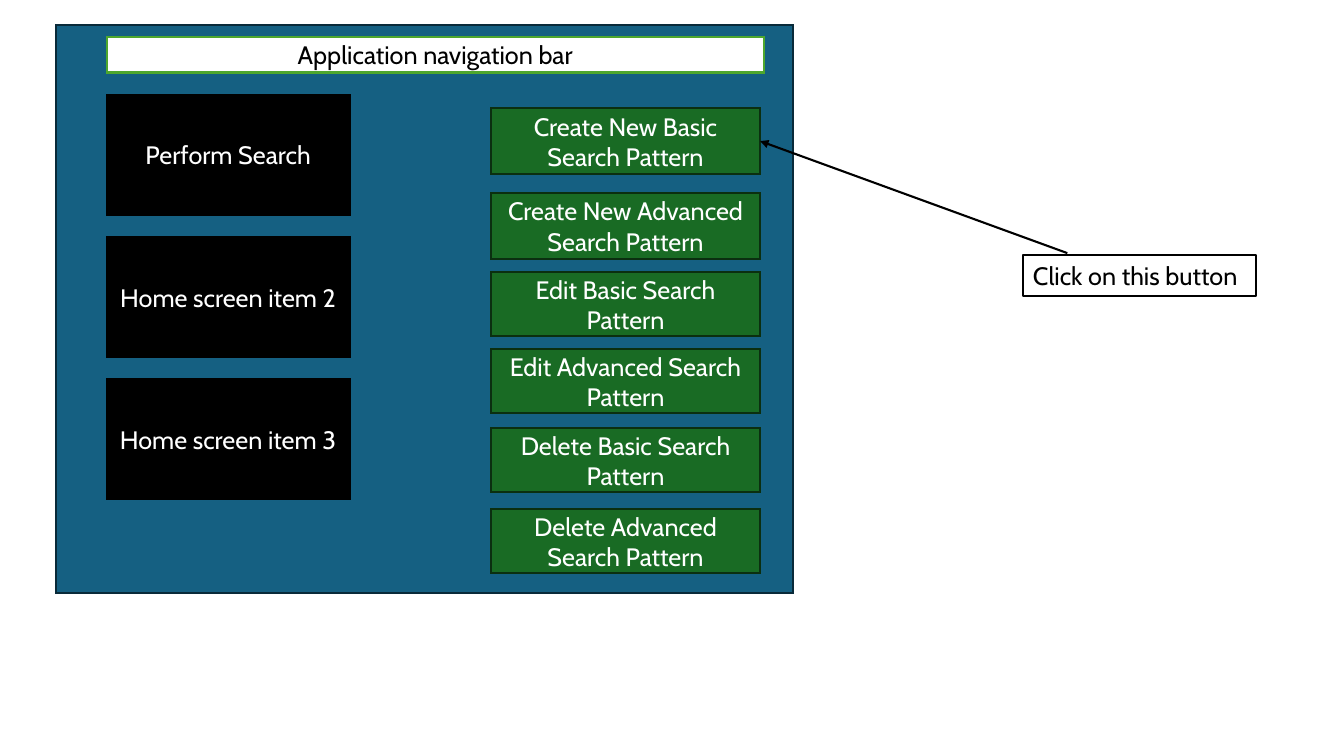
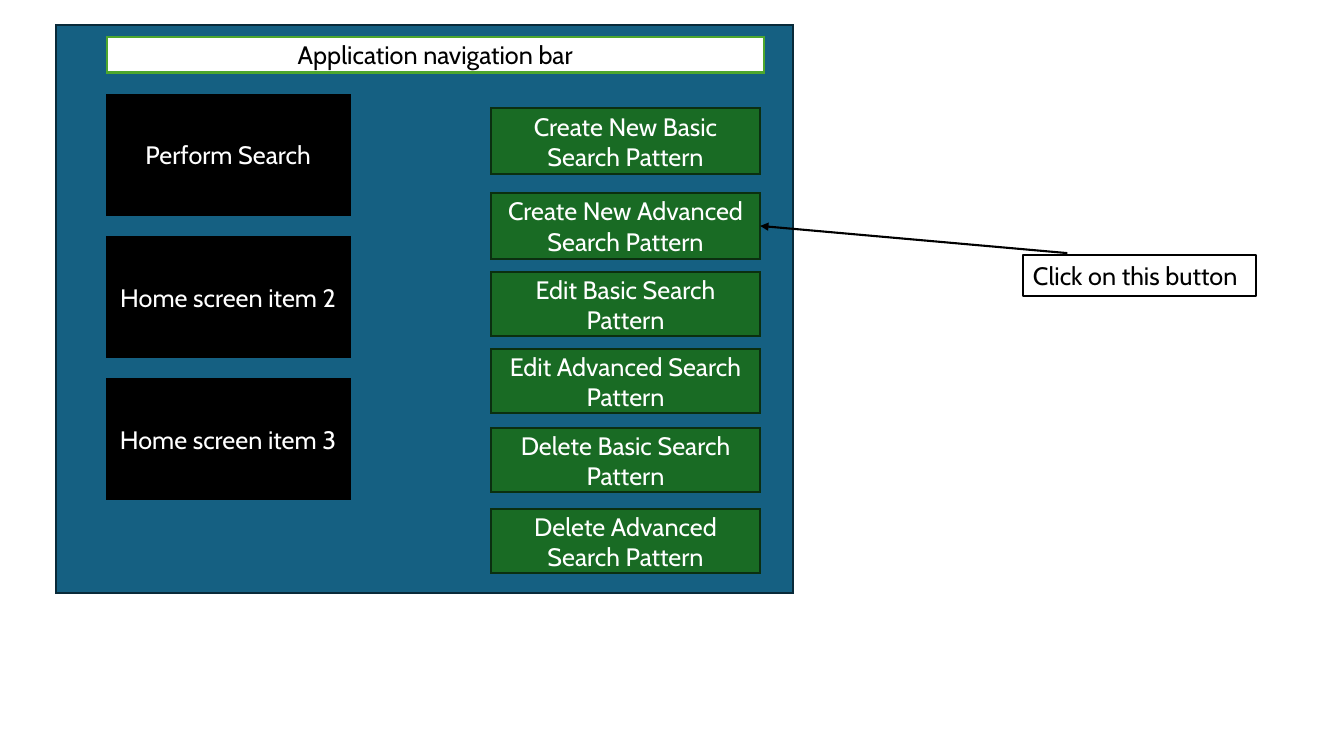
from lxml import etree
from pptx import Presentation
from pptx.dml.color import RGBColor
from pptx.enum import shapes, text
from pptx.oxml import ns
from pptx.util import Pt

WHITE = RGBColor(0xFF, 0xFF, 0xFF)
BLACK = RGBColor(0x00, 0x00, 0x00)
PANEL, PANEL_EDGE = RGBColor(0x15, 0x60, 0x82), RGBColor(0x09, 0x2A, 0x39)
GREEN, GREEN_EDGE = RGBColor(0x19, 0x6B, 0x24), RGBColor(0x0B, 0x2F, 0x10)
NAV_EDGE = RGBColor(0x4E, 0xA7, 0x2E)
FONT = "Cabin"
LINE_WIDTH = Pt(1.5)

HOME_ITEMS = ["Perform Search", "Home screen item 2", "Home screen item 3"]
BUTTONS = [  # label, top, height
    ("Create New Basic Search Pattern", 77.4, 46.8),
    ("Create New Advanced Search Pattern", 138, 46.8),
    ("Edit Basic Search Pattern", 194.4, 45.6),
    ("Edit Advanced Search Pattern", 249.4, 45.6),
    ("Delete Basic Search Pattern", 306, 45.6),
    ("Delete Advanced Search Pattern", 363.8, 45.6),
]


def write(sp, label, color, align):
    p = sp.text_frame.paragraphs[0]
    p.alignment = align
    r = p.add_run()
    r.text = label
    r.font.name, r.font.size = FONT, Pt(18)
    r.font.color.rgb = color


def add_box(parent, x, y, w, h, fill, edge, label="", color=WHITE):
    sp = parent.add_shape(shapes.MSO_SHAPE.RECTANGLE, Pt(x), Pt(y), Pt(w), Pt(h))
    sp.shadow.inherit = False
    sp.fill.solid()
    sp.fill.fore_color.rgb = fill
    sp.line.color.rgb = edge
    sp.line.width = LINE_WIDTH
    # Sharp corners
    etree.SubElement(sp.element.spPr.find(ns.qn("a:ln")), ns.qn("a:miter"), lim="800000")
    if label:
        sp.text_frame.vertical_anchor = text.MSO_ANCHOR.MIDDLE
        write(sp, label, color, text.PP_ALIGN.CENTER)
    return sp


prs = Presentation()
prs.slide_width, prs.slide_height = Pt(960), Pt(540)

# One slide for each button to click
for target in range(2):
    s = prs.slides.add_slide(prs.slide_layouts[6])

    # Callout
    callout = s.shapes.add_textbox(Pt(730.8), Pt(182.4), Pt(166.4), Pt(29))
    callout.fill.solid()
    callout.fill.fore_color.rgb = WHITE
    callout.line.color.rgb = BLACK
    callout.line.width = LINE_WIDTH
    callout.text_frame.word_wrap = False
    callout.text_frame.auto_size = text.MSO_AUTO_SIZE.SHAPE_TO_FIT_TEXT
    write(callout, "Click on this button", BLACK, text.PP_ALIGN.LEFT)

    # Application screen
    screen = s.shapes.add_group_shape().shapes
    add_box(screen, 40.2, 18, 526.4, 405.8, PANEL, PANEL_EDGE)
    for i, label in enumerate(HOME_ITEMS):
        add_box(screen, 76.2, 67.8 + 101.6 * i, 173.6, 85.6, BLACK, BLACK, label)
    add_box(screen, 76.2, 26.6, 469.4, 25.2, WHITE, NAV_EDGE,
            "Application navigation bar", BLACK)
    buttons = [add_box(screen, 350.6, top, 192.4, height, GREEN, GREEN_EDGE, label)
               for label, top, height in BUTTONS]

    # Arrow from the callout to the button, in front of the screen
    arrow = s.shapes.add_connector(shapes.MSO_CONNECTOR.STRAIGHT,
                                   Pt(762.4), Pt(180.8), Pt(543), Pt(100))
    arrow.end_connect(buttons[target], 3)
    arrow.line.color.rgb = BLACK
    arrow.line.width = LINE_WIDTH
    sp_pr = arrow.element.spPr
    etree.SubElement(sp_pr.find(ns.qn("a:ln")), ns.qn("a:tailEnd"), type="triangle")
    etree.SubElement(sp_pr, ns.qn("a:effectLst"))

prs.save("out.pptx")
